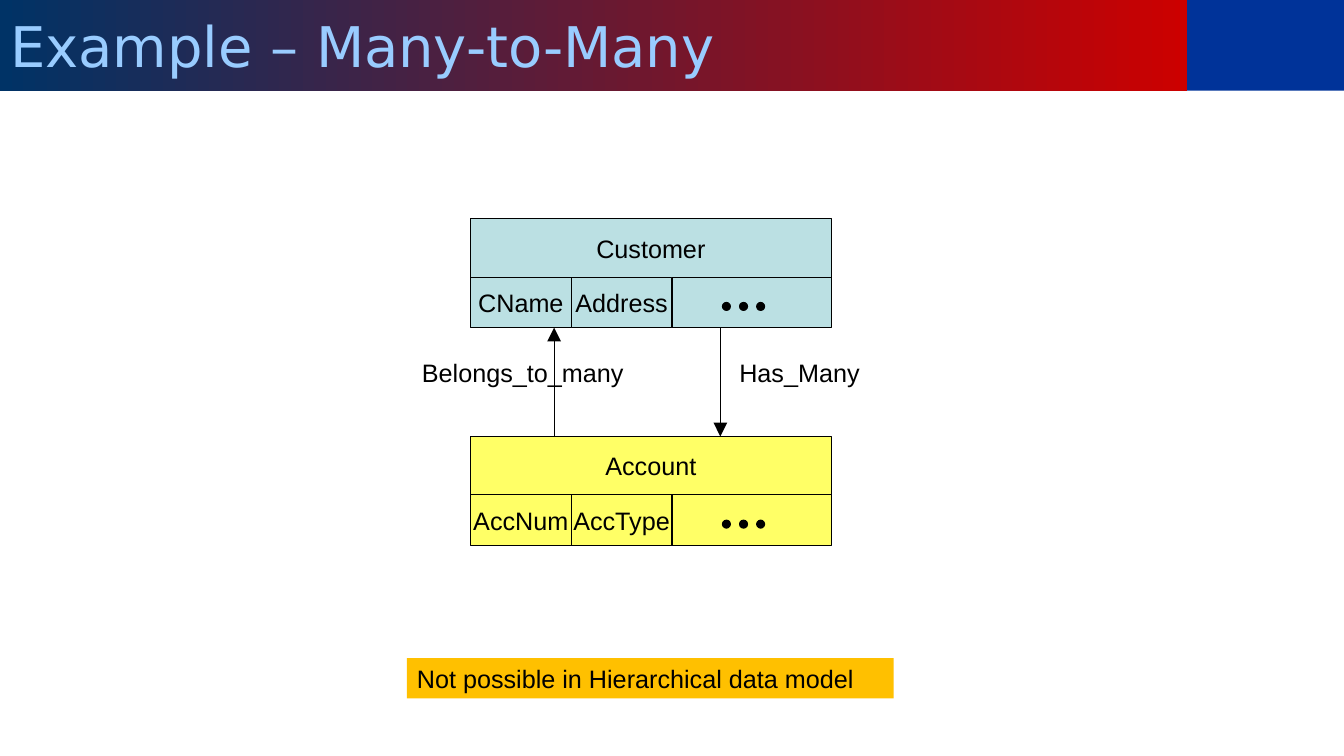
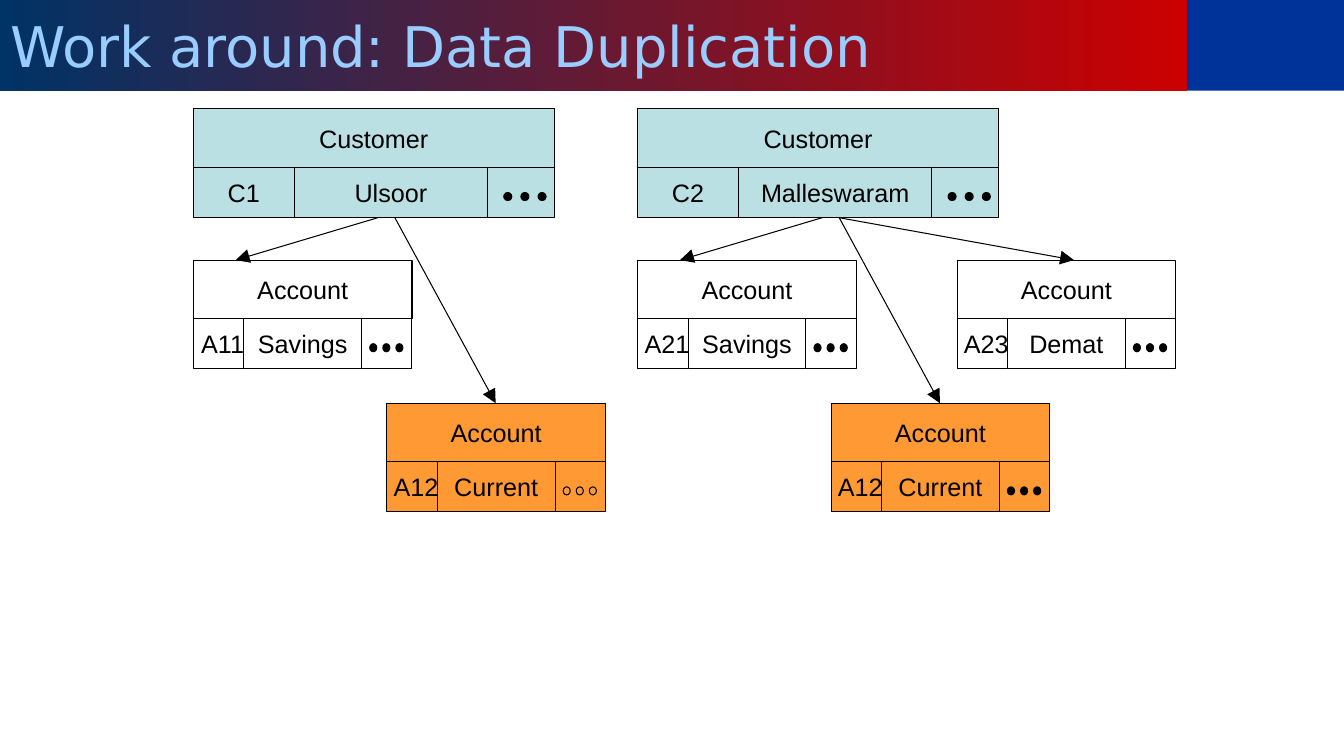
"""Build two slides on many-to-many relations in the hierarchical data model."""
from dataclasses import dataclass

import lxml.etree
import pptx
import pptx.dml.color
import pptx.enum.shapes
import pptx.enum.text
import pptx.oxml.ns
import pptx.util

Inches = pptx.util.Inches
RGB = pptx.dml.color.RGBColor.from_string
SHAPE = pptx.enum.shapes.MSO_SHAPE
ALIGN = pptx.enum.text.PP_ALIGN
ANCHOR = pptx.enum.text.MSO_ANCHOR
AUTO_SIZE = pptx.enum.text.MSO_AUTO_SIZE


@dataclass(frozen=True)
class Theme:
    """Colours, fonts and type sizes."""
    ink: str = "000000"
    paper: str = "FFFFFF"
    customer: str = "BBE0E3"
    account: str = "FFFF66"
    duplicate: str = "FF9933"
    note: str = "FFC000"
    band: str = "003399"
    title_start: str = "003366"
    title_end: str = "CC0000"
    title_text: str = "99CCFF"
    title_font: str = "DejaVu Sans"
    body_font: str = "Arial"
    title_size: int = 40
    body_size: int = 18
    line_width: float = 0.75


@dataclass(frozen=True)
class RecordGrid:
    """Offsets and widths of the cells of one kind of record."""
    width: float
    key: tuple
    field: tuple
    rest: tuple
    dots_left: float
    dot_step: float
    dot_width: float


THEME = Theme()
SCHEMA = RecordGrid(3.58, (0, 1), (1, 1), (2, 1.58), 2.5, 0.17, 0.08)
CUSTOMER = RecordGrid(3.58, (0, 1), (1, 1.92), (2.91, 0.67), 3.08, 0.17, 0.08)
ACCOUNT = RecordGrid(2.17, (0, 0.58), (0.5, 1.17), (1.64, 0.53), 1.75, 0.13, 0.07)
HEADER_HEIGHT, ROW_HEIGHT = 0.58, 0.5
RECORD_HEIGHT = HEADER_HEIGHT + ROW_HEIGHT
TITLE_WIDTH, BAND_WIDTH, BAND_HEIGHT = 11.78, 1.56, 0.9


def add_run(p, text, font, size, color):
    """Add a formatted run to a paragraph."""
    r = p.add_run()
    r.text = text
    r.font.name = font
    r.font.size = pptx.util.Pt(size)
    r.font.color.rgb = RGB(color)


def add_body_text(sp, text, align=ALIGN.LEFT, anchor=ANCHOR.TOP, wrap=True):
    """Write one line of body text in a shape."""
    tf = sp.text_frame
    tf.word_wrap = wrap
    tf.vertical_anchor = anchor
    p = tf.paragraphs[0]
    p.alignment = align
    add_run(p, text, THEME.body_font, THEME.body_size, THEME.ink)


def add_box(shapes, at, fill, line=THEME.ink, kind=SHAPE.RECTANGLE):
    """Add a flat filled shape, outlined when a line colour is given."""
    sp = shapes.add_shape(kind, *map(Inches, at))
    sp.shadow.inherit = False
    sp.fill.solid()
    sp.fill.fore_color.rgb = RGB(fill)
    if line:
        sp.line.color.rgb = RGB(line)
        sp.line.width = pptx.util.Pt(THEME.line_width)
    else:
        sp.line.fill.background()
    return sp


def add_cell(slide, at, text, fill):
    """Add a record cell with centred text."""
    sp = add_box(slide.shapes, at, fill)
    add_body_text(sp, text, ALIGN.CENTER, ANCHOR.MIDDLE, wrap=False)


def add_record(slide, left, top, grid, name, key, field, fill, dot_fill=THEME.ink):
    """Draw a named record with a key, a field and an ellipsis cell."""
    row = top + HEADER_HEIGHT

    def row_cell(span):
        """Place a span of the grid in the lower row."""
        return left + span[0], row, span[1], ROW_HEIGHT

    add_box(slide.shapes, row_cell(grid.rest), fill)
    add_cell(slide, (left, top, grid.width, HEADER_HEIGHT), name, fill)
    add_cell(slide, row_cell(grid.key), key, fill)
    add_cell(slide, row_cell(grid.field), field, fill)
    dots = slide.shapes.add_group_shape()
    for i in range(3):
        x = left + grid.dots_left + i * grid.dot_step
        add_box(dots.shapes, (x, row + 0.25, grid.dot_width, 0.08), dot_fill, kind=SHAPE.OVAL)


def add_arrow(slide, start, end):
    """Draw a straight arrow between two points."""
    cxn = slide.shapes.add_connector(
        pptx.enum.shapes.MSO_CONNECTOR.STRAIGHT, *map(Inches, start + end))
    cxn.line.color.rgb = RGB(THEME.ink)
    cxn.line.width = pptx.util.Pt(THEME.line_width)
    qn = pptx.oxml.ns.qn
    ln = cxn.element.spPr.find(qn("a:ln"))
    lxml.etree.SubElement(ln, qn("a:tailEnd"), type="triangle", w="lg", len="lg")
    lxml.etree.SubElement(cxn.element.spPr, qn("a:effectLst"))


def add_label(slide, at, text):
    """Add a free text label."""
    add_body_text(slide.shapes.add_textbox(*map(Inches, at)), text)


def add_note(slide, at, text):
    """Add a highlighted remark."""
    add_body_text(add_box(slide.shapes, at, THEME.note, line=None), text)


def style_layout(layout):
    """Give the layout its gradient title bar."""
    title = layout.placeholders[0]
    title.left, title.top = Inches(0), Inches(0)
    title.width, title.height = Inches(TITLE_WIDTH), Inches(BAND_HEIGHT)
    title.fill.gradient()
    title.fill.gradient_angle = 0
    for stop, color in zip(title.fill.gradient_stops, (THEME.title_start, THEME.title_end)):
        stop.color.rgb = RGB(color)
    title.text_frame.vertical_anchor = ANCHOR.MIDDLE
    title.text_frame.auto_size = AUTO_SIZE.NONE


def add_layout_band(layout, slide):
    """Put the plain band beside the title bar on the layout."""
    band = add_box(slide.shapes, (TITLE_WIDTH, 0, BAND_WIDTH, BAND_HEIGHT), THEME.band, line=None)
    layout.shapes.element.insert(2, band.element)


def add_slide(prs, layout, title):
    """Add a slide with its title."""
    slide = prs.slides.add_slide(layout)
    p = slide.shapes.title.text_frame.paragraphs[0]
    p.alignment = ALIGN.LEFT
    add_run(p, title, THEME.title_font, THEME.title_size, THEME.title_text)
    return slide


def fill_many_to_many(slide):
    """Show two record types that refer to each other."""
    left, customer_top, account_top = 4.67, 2.17, 4.33
    customer_bottom = customer_top + RECORD_HEIGHT
    add_record(slide, left, customer_top, SCHEMA, "Customer", "CName", "Address", THEME.customer)
    add_record(slide, left, account_top, SCHEMA, "Account", "AccNum", "AccType", THEME.account)
    add_arrow(slide, (5.5, account_top), (5.5, customer_bottom))
    add_label(slide, (4.09, 3.5, 2.3, 0.4), "Belongs_to_many")
    add_arrow(slide, (7.15, customer_bottom), (7.15, account_top))
    add_label(slide, (7.24, 3.5, 1.5, 0.4), "Has_Many")
    add_note(slide, (4.04, 6.53, 4.83, 0.4), "Not possible in Hierarchical data model")


def add_customer_tree(slide, left, key, area, accounts):
    """Draw a customer with arrows to its accounts, placed relative to left."""
    top = 1.08
    add_record(slide, left, top, CUSTOMER, "Customer", key, area, THEME.customer)
    for dx, y, start, end, number, kind, fill, dot_fill in accounts:
        add_record(slide, left + dx, y, ACCOUNT, "Account", number, kind, fill, dot_fill)
        add_arrow(slide, (left + start, top + RECORD_HEIGHT), (left + end, y))


def fill_duplication(slide):
    """Show the shared account repeated under each customer."""
    def savings(number):
        """Describe the first account of a customer."""
        return 0, 2.58, 1.83, 0.42, number, "Savings", THEME.paper, THEME.ink

    def shared(dot_fill):
        """Describe the account that both customers hold."""
        return 1.92, 4, 2, 3, "A12", "Current", THEME.duplicate, dot_fill

    demat = (3.17, 2.58, 2, 4.33, "A23", "Demat", THEME.paper, THEME.ink)
    add_customer_tree(slide, 1.92, "C1", "Ulsoor", [savings("A11"), shared(THEME.duplicate)])
    add_customer_tree(slide, 6.33, "C2", "Malleswaram",
                      [savings("A21"), shared(THEME.ink), demat])


def main():
    """Build and save the presentation."""
    prs = pptx.Presentation()
    prs.slide_width, prs.slide_height = Inches(13.34), Inches(7.5)
    layout = prs.slide_layouts.get_by_name("Title Only")
    style_layout(layout)
    slide = add_slide(prs, layout, "Example – Many-to-Many")
    add_layout_band(layout, slide)
    fill_many_to_many(slide)
    fill_duplication(add_slide(prs, layout, "Work around: Data Duplication"))
    prs.save("out.pptx")


if __name__ == "__main__":
    main()
